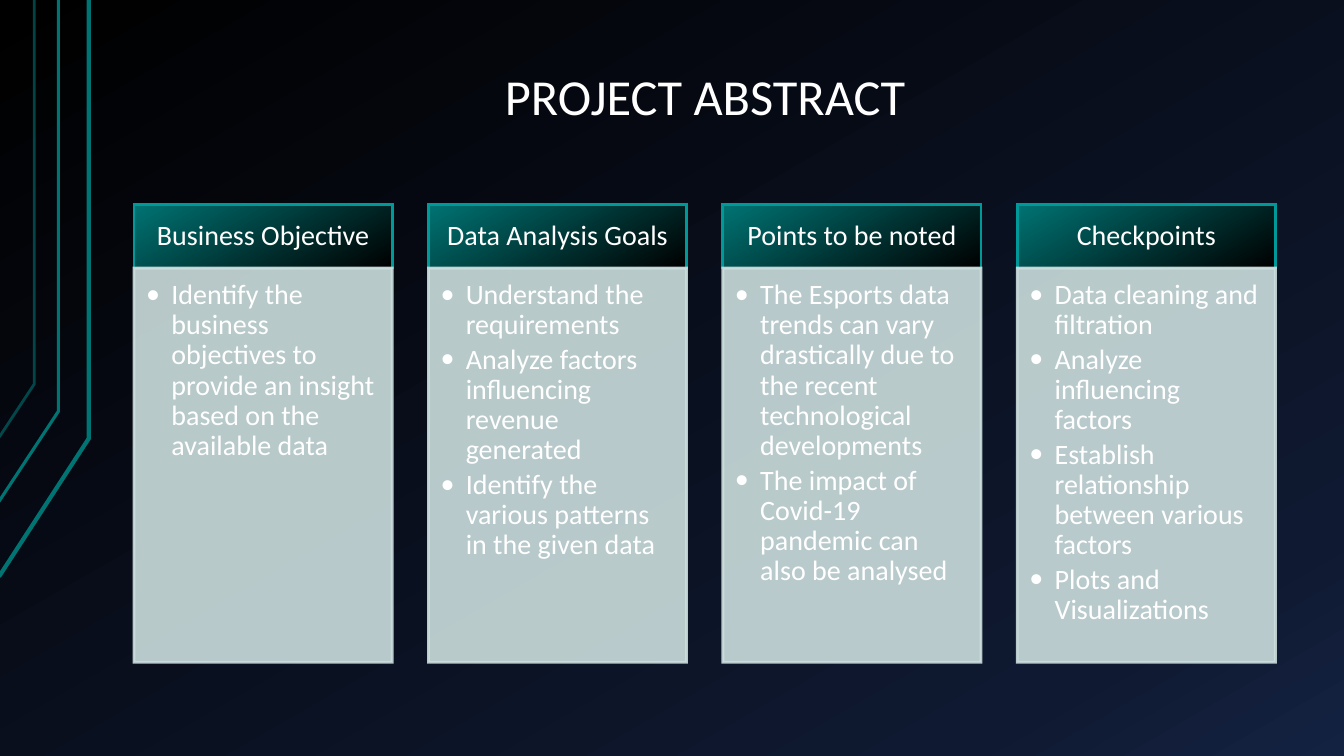
from lxml import etree
from pptx import Presentation
from pptx import util as u
from pptx.dml.color import RGBColor
from pptx.enum import shapes, text
from pptx.oxml.ns import qn

CARDS = [
    ("Business Objective", [
        "Identify the business objectives to provide an insight based on the available data"]),
    ("Data Analysis Goals", [
        "Understand the requirements",
        "Analyze factors influencing revenue generated",
        "Identify the various patterns in the given data"]),
    ("Points to be noted", [
        "The Esports data trends can vary drastically due to the recent technological developments",
        "The impact of Covid-19 pandemic can also be analysed"]),
    ("Checkpoints", [
        "Data cleaning and filtration",
        "Analyze influencing factors",
        "Establish relationship between various factors",
        "Plots and Visualizations"]),
]
TRACES = [
    ([(-1, 572), (88, 435), (88, 0)], 3, 100),
    ([(-2, 499), (58, 408), (58, 0)], 2.25, 100),
    ([(-1, 434), (34, 381), (34, 0)], 2, 60),
]


def rgb(value):
    return RGBColor.from_string(value)


def paint(fill, value):
    fill.solid()
    fill.fore_color.rgb = rgb(value)


def paint_gradient(fill, owner, stops):
    fill.gradient()
    fill.gradient_angle = 300
    gs_list = owner.find(".//" + qn("a:gsLst"))
    for gs in list(gs_list):
        gs_list.remove(gs)
    for position, value in stops:
        gs = etree.SubElement(gs_list, qn("a:gs"), pos=str(position * 1000))
        etree.SubElement(gs, qn("a:srgbClr"), val=value)


def set_opacity(sp, percent):
    for color in sp.element.spPr.iter(qn("a:srgbClr")):
        etree.SubElement(color, qn("a:alpha"), val=str(percent * 1000))


def set_line(sp, value, weight):
    sp.shadow.inherit = False
    sp.line.width = u.Pt(weight)
    paint(sp.line.fill, value)
    ln = sp.element.spPr.find(qn("a:ln"))
    etree.SubElement(ln, qn("a:miter"), lim="800000")


def set_frame(tf, anchor, insets):
    tf.word_wrap = True
    tf.auto_size = text.MSO_AUTO_SIZE.NONE
    tf.vertical_anchor = anchor
    tf.margin_left, tf.margin_top, tf.margin_right, tf.margin_bottom = map(u.Inches, insets)


def write(p, words, size, align):
    p.alignment = align
    p.line_spacing = 0.9
    r = p.add_run()
    r.text = words
    r.font.size = u.Pt(size)
    r.font.name = "Calibri"
    r.font.color.rgb = rgb("FFFFFF")


def add_bullet(p):
    pPr = p._p.get_or_add_pPr()
    pPr.set("marL", str(u.Inches(0.25)))
    pPr.set("indent", str(u.Inches(-0.25)))
    etree.SubElement(pPr, qn("a:buFont"), typeface="Calibri")
    etree.SubElement(pPr, qn("a:buChar"), char="•")


def add_box(s, left, top, width, height, line):
    sp = s.shapes.add_shape(shapes.MSO_SHAPE.RECTANGLE, *map(u.Inches, (left, top, width, height)))
    set_line(sp, line, 2)
    return sp


def add_traces(s):
    for points, weight, opacity in TRACES:
        builder = s.shapes.build_freeform(*points[0], scale=u.Inches(0.01))
        builder.add_line_segments(points[1:], close=False)
        sp = builder.convert_to_shape()
        sp.fill.background()
        set_line(sp, "007373", weight)
        set_opacity(sp, opacity)


def add_title(s, left, top, width, height, words):
    title = s.shapes.title
    title.left, title.top, title.width, title.height = map(u.Inches, (left, top, width, height))
    set_frame(title.text_frame, text.MSO_ANCHOR.BOTTOM, (0.13, 0.07, 0.13, 0.07))
    write(title.text_frame.paragraphs[0], words, 36, text.PP_ALIGN.CENTER)


def add_card(s, left, top, width, height, heading, points):
    head_height = 0.63
    head = add_box(s, left, top, width, head_height, "009999")
    paint_gradient(head.fill, head.element, [(0, "007373"), (100, "000000")])
    set_frame(head.text_frame, text.MSO_ANCHOR.MIDDLE, (0.16, 0.09, 0.16, 0.09))
    write(head.text_frame.paragraphs[0], heading, 20, text.PP_ALIGN.CENTER)

    body = add_box(s, left, top + head_height, width, height - head_height, "CCDEDE")
    paint(body.fill, "CCDEDE")
    set_opacity(body, 90)
    tf = body.text_frame
    set_frame(tf, text.MSO_ANCHOR.TOP, (0.12, 0.12, 0.16, 0.17))
    for i, point in enumerate(points):
        p = tf.add_paragraph() if i else tf.paragraphs[0]
        write(p, point, 20, text.PP_ALIGN.LEFT)
        p.space_after = u.Pt(3)
        add_bullet(p)


def add_cards(s, left, top, width, height):
    card_width = 2.56
    step = (width - card_width) / (len(CARDS) - 1)
    for i, (heading, points) in enumerate(CARDS):
        add_card(s, left + i * step, top, card_width, height, heading, points)


def main():
    prs = Presentation()
    prs.slide_width, prs.slide_height = u.Inches(13.33), u.Inches(7.5)
    s = prs.slides.add_slide(prs.slide_layouts[5])
    paint_gradient(s.background.fill, s.element,
                   [(0, "000000"), (85, "0F1931"), (100, "142242")])
    add_traces(s)
    add_title(s, 1.33, 0.6, 11.33, 0.72, "PROJECT ABSTRACT")
    add_cards(s, 1.33, 2.03, 11.32, 4.54)
    prs.save("out.pptx")


if __name__ == "__main__":
    main()
